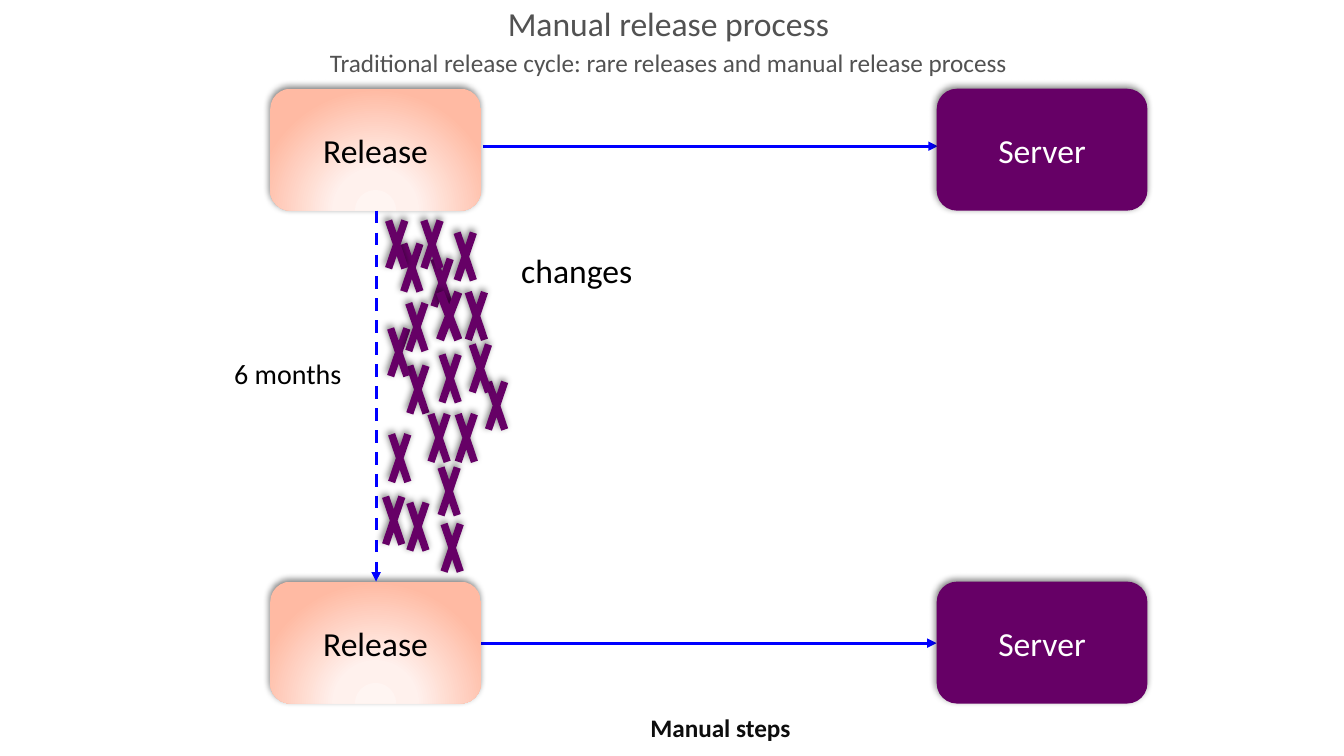
"""Build the slide on the manual release process."""
from lxml import etree
from pptx import Presentation, util as u
from pptx.dml.color import RGBColor
from pptx.enum import dml, shapes, text
from pptx.oxml import parse_xml
from pptx.oxml.ns import nsdecls, qn

PX = u.Inches(0.01)
FONT = "Calibri"
BLUE, PURPLE, BLACK, WHITE = "0000FF", "660066", "000000", "FFFFFF"
GREY, NEAR_BLACK = "525252", "0D0D0D"
PEACH = ((0, "FFF5F2"), (34, "FFF1ED"), (100, "FFBAA3"))

RELEASE_LEFT, SERVER_LEFT = 268, 929
BOX_WIDTH, BOX_HEIGHT = 209, 121
ROW_TOPS = (88, 577)
ARROW_LINES = ((479, 930, 145), (477, 929, 638))
CHANGES = (
    (393, 220), (423, 235), (399, 341), (446, 209), (431, 330),
    (477, 357), (447, 389), (381, 409), (433, 498), (430, 442),
    (399, 477), (428, 268, 35), (457, 268), (413, 197), (380, 304),
    (461, 320), (375, 471), (378, 197), (420, 389), (398, 279),
)


def px(*lengths):
    """Turn pixel lengths into EMU."""
    return [length * PX for length in lengths]


def color(hex_code):
    """Turn a hex string into a colour."""
    return RGBColor.from_string(hex_code)


def write(shape, wording, size, hex_code, bold=False):
    """Write one centred line in the middle of a shape."""
    frame = shape.text_frame
    frame.word_wrap = True
    frame.auto_size = text.MSO_AUTO_SIZE.NONE
    frame.vertical_anchor = text.MSO_ANCHOR.MIDDLE
    paragraph = frame.paragraphs[0]
    paragraph.alignment = text.PP_ALIGN.CENTER
    paragraph.space_before = u.Pt(0)
    run = paragraph.add_run()
    run.text = wording
    run.font.name, run.font.size, run.font.bold = FONT, u.Pt(size), bold
    run.font.color.rgb = color(hex_code)


def add_heading(placeholder, place, wording, size):
    """Move a placeholder and fill it with a heading."""
    placeholder.left, placeholder.top, placeholder.width, placeholder.height = px(*place)
    write(placeholder, wording, size, GREY)


def add_label(slide, place, wording, size, hex_code=BLACK, bold=False):
    """Add a free-standing label."""
    write(slide.shapes.add_textbox(*px(*place)), wording, size, hex_code, bold)


def add_shadow(shape):
    """Give a shape a soft shadow towards its upper left."""
    shape.shadow.inherit = False
    effects = shape._element.spPr.find(qn("a:effectLst"))
    effects.append(parse_xml(
        f'<a:outerShdw {nsdecls("a")} blurRad="{u.Pt(5)}" dist="{u.Pt(2)}" '
        f'dir="{245 * 60000}" algn="ctr" rotWithShape="0">'
        f'<a:srgbClr val="{BLACK}"><a:alpha val="50000"/></a:srgbClr></a:outerShdw>'))


def add_solid(slide, kind, place):
    """Add a purple shape with a shadow and no outline."""
    shape = slide.shapes.add_shape(kind, *px(*place))
    shape.fill.solid()
    shape.fill.fore_color.rgb = color(PURPLE)
    shape.line.fill.background()
    add_shadow(shape)
    return shape


def glow(shape, stops):
    """Replace the solid fill by a circular gradient from the lower edge."""
    stop_list = "".join(
        f'<a:gs pos="{position * 1000}"><a:srgbClr val="{hex_code}"/></a:gs>'
        for position, hex_code in stops)
    properties = shape._element.spPr
    properties.replace(properties.find(qn("a:solidFill")), parse_xml(
        f'<a:gradFill {nsdecls("a")} rotWithShape="1"><a:gsLst>{stop_list}</a:gsLst>'
        '<a:path path="circle"><a:fillToRect l="50000" t="155000" r="50000" b="-55000"/>'
        '</a:path></a:gradFill>'))


def add_box(slide, left, top, wording, hex_code, stops=None):
    """Add a rounded box with a caption."""
    box = add_solid(slide, shapes.MSO_SHAPE.ROUNDED_RECTANGLE,
                    (left, top, BOX_WIDTH, BOX_HEIGHT))
    if stops:
        glow(box, stops)
    write(box, wording, 24, hex_code)


def add_change(slide, left, top, width=31):
    """Add one change mark."""
    add_solid(slide, shapes.MSO_SHAPE.MATH_MULTIPLY, (left, top, width, 91))


def add_arrow(slide, ends, dashed=False):
    """Add a blue arrow."""
    arrow = slide.shapes.add_connector(shapes.MSO_CONNECTOR.STRAIGHT, *px(*ends))
    arrow.line.color.rgb = color(BLUE)
    arrow.line.width = u.Pt(2.25)
    if dashed:
        arrow.line.dash_style = dml.MSO_LINE.DASH
    etree.SubElement(arrow.line._get_or_add_ln(), qn("a:tailEnd"), type="triangle")
    etree.SubElement(arrow._element.spPr, qn("a:effectLst"))


def main():
    """Build and save the slide."""
    presentation = Presentation()
    presentation.slide_width, presentation.slide_height = px(1333, 750)
    slide = presentation.slides.add_slide(presentation.slide_layouts[0])
    title, subtitle = slide.placeholders
    add_heading(title, (0, 3, 1326, 40), "Manual release process", 24)
    add_heading(subtitle, (0, 43, 1326, 38),
                "Traditional release cycle: rare releases and manual release process", 18)

    for start, end, height in ARROW_LINES:
        add_arrow(slide, (start, height, end, height))
    for top in ROW_TOPS:
        add_box(slide, RELEASE_LEFT, top, "Release", BLACK, PEACH)
        add_box(slide, SERVER_LEFT, top, "Server", WHITE)
    add_arrow(slide, (373, ROW_TOPS[0] + BOX_HEIGHT, 373, ROW_TOPS[1]), dashed=True)
    for change in CHANGES:
        add_change(slide, *change)

    add_label(slide, (460, 243, 224, 50), "changes", 24)
    add_label(slide, (218, 348, 135, 44), "6 months", 20)
    add_label(slide, (602, 702, 225, 40), "Manual steps", 18, NEAR_BLACK, bold=True)
    presentation.save("out.pptx")


if __name__ == "__main__":
    main()
